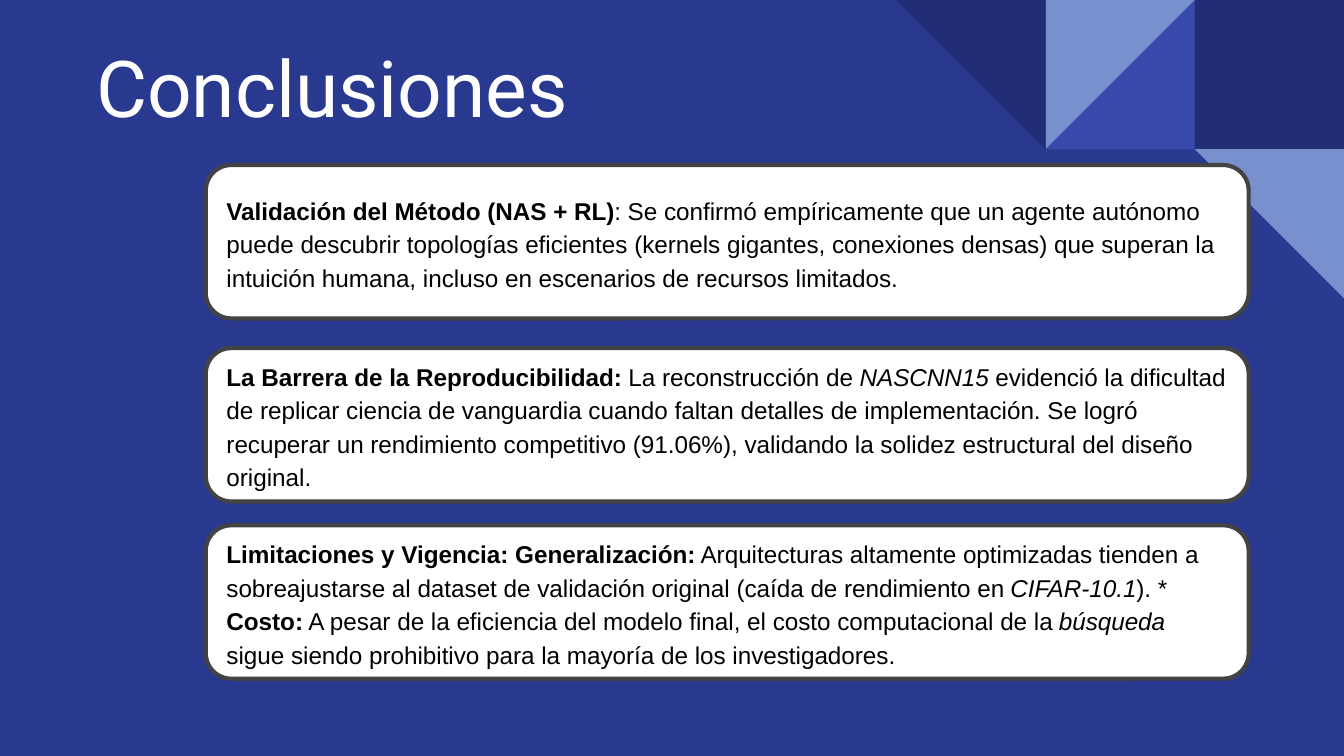
from pptx import Presentation
from pptx import util as u
from pptx.dml.color import RGBColor
from pptx.enum import shapes, text

WIDTH, HEIGHT = 25.4, 14.29
TILE = 2.82
INSET = 0.25
KIND = shapes.MSO_SHAPE

TITLE = "Conclusiones"

# column, row, preset, rotation, colour
TILES = [
    (2, 0, KIND.RECTANGLE, 0, "212D74"),
    (1, 0, KIND.RIGHT_TRIANGLE, 270, "3949AB"),
    (1, 0, KIND.RIGHT_TRIANGLE, 90, "7890CD"),
    (0, 0, KIND.RIGHT_TRIANGLE, 180, "212D74"),
    (2, 1, KIND.RIGHT_TRIANGLE, 180, "7890CD"),
]

CONCLUSIONS = [
    (3.12, [
        ("Validación del Método (NAS + RL)", "bold"),
        (": Se confirmó empíricamente que un agente autónomo puede descubrir "
         "topologías eficientes (kernels gigantes, conexiones densas) que superan "
         "la intuición humana, incluso en escenarios de recursos limitados.", ""),
    ]),
    (6.58, [
        ("La Barrera de la Reproducibilidad: ", "bold"),
        ("La reconstrucción de ", ""),
        ("NASCNN15", "italic"),
        (" evidenció la dificultad de replicar ciencia de vanguardia cuando faltan "
         "detalles de implementación. Se logró recuperar un rendimiento competitivo "
         "(91.06%), validando la solidez estructural del diseño original.", ""),
    ]),
    (9.93, [
        ("Limitaciones y Vigencia: Generalización:", "bold"),
        (" Arquitecturas altamente optimizadas tienden a sobreajustarse al dataset "
         "de validación original (caída de rendimiento en ", ""),
        ("CIFAR-10.1", "italic"),
        ("). * ", ""),
        ("Costo:", "bold"),
        (" A pesar de la eficiencia del modelo final, el costo computacional de la ", ""),
        ("búsqueda", "italic"),
        (" sigue siendo prohibitivo para la mayoría de los investigadores.", ""),
    ]),
]


def paint(fill, colour):
    fill.solid()
    fill.fore_color.rgb = RGBColor.from_string(colour)


def add_shape(page, kind, left, top, width, height, colour):
    shape = page.shapes.add_shape(kind, u.Cm(left), u.Cm(top), u.Cm(width), u.Cm(height))
    shape.shadow.inherit = False
    paint(shape.fill, colour)
    shape.line.fill.background()
    return shape


def write(box, spans, font, size, colour, spacing=1.0):
    frame = box.text_frame
    frame.word_wrap = True
    frame.vertical_anchor = text.MSO_ANCHOR.MIDDLE
    frame.margin_left = frame.margin_right = u.Cm(INSET)
    frame.margin_top = frame.margin_bottom = u.Cm(INSET)
    para = frame.paragraphs[0]
    para.alignment = text.PP_ALIGN.LEFT
    para.line_spacing = spacing
    for words, style in spans:
        span = para.add_run()
        span.text = words
        span.font.name = font
        span.font.size = u.Pt(size)
        span.font.bold = style == "bold"
        span.font.italic = style == "italic"
        paint(span.font.fill, colour)


def main():
    deck = Presentation()
    deck.slide_width, deck.slide_height = u.Cm(WIDTH), u.Cm(HEIGHT)
    page = deck.slides.add_slide(deck.slide_layouts[6])
    paint(page.background.fill, "2A3990")

    for column, row, kind, rotation, colour in TILES:
        left = WIDTH - (3 - column) * TILE
        tile = add_shape(page, kind, left, row * TILE, TILE, TILE, colour)
        tile.rotation = rotation

    title = page.shapes.add_textbox(u.Cm(1.57), u.Cm(0.46), u.Cm(22.83), u.Cm(2.34))
    write(title, [(TITLE, "")], "Roboto", 42, "FFFFFF")

    for top, spans in CONCLUSIONS:
        card = add_shape(page, KIND.FLOWCHART_ALTERNATE_PROCESS, 3.89, top, 19.71, 2.9, "FFFFFF")
        paint(card.line.fill, "434343")
        card.line.width = u.Pt(2.25)
        write(card, spans, "Arial", 13, "000000", 1.15)

    deck.save("out.pptx")


if __name__ == "__main__":
    main()
